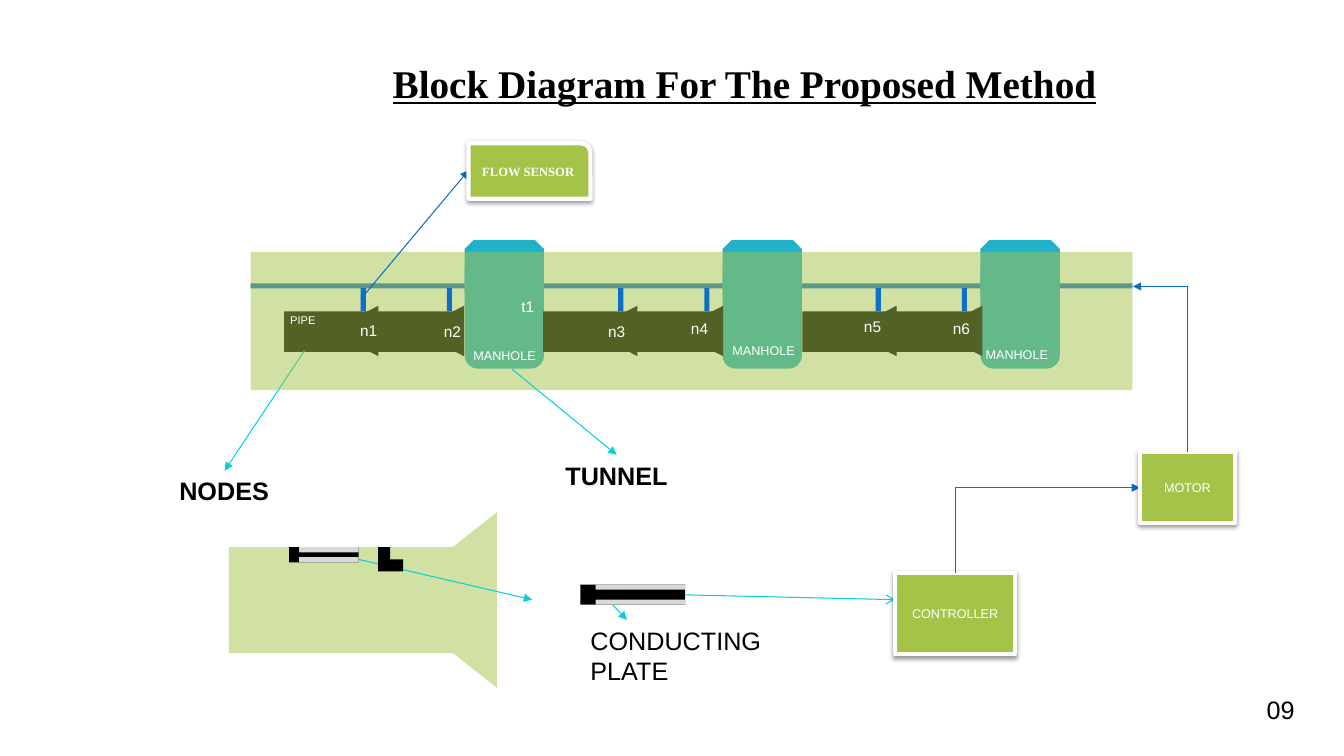
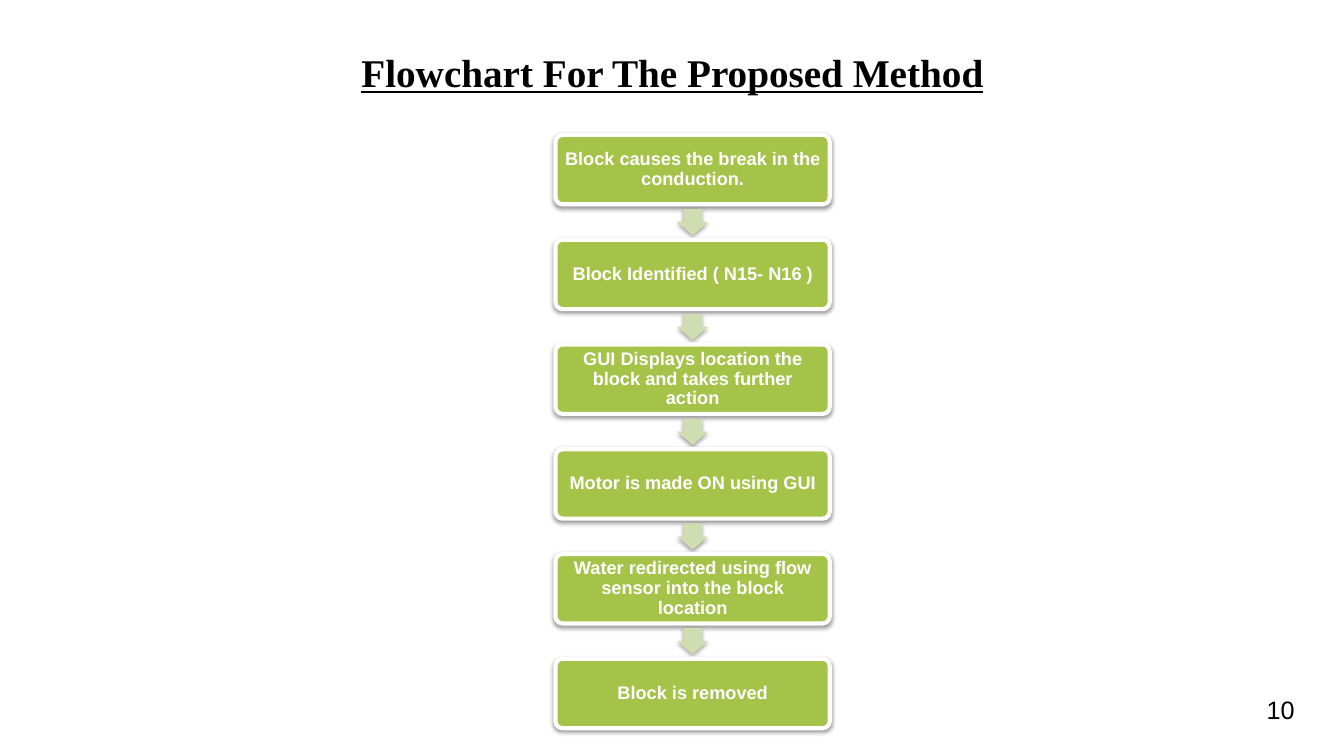
from lxml.etree import SubElement
from pptx import Presentation
from pptx.dml.color import RGBColor as Rgb
from pptx.enum.shapes import MSO_CONNECTOR as Link, MSO_SHAPE as Kind
from pptx.enum.text import MSO_ANCHOR as Anchor, PP_ALIGN as Align
from pptx.oxml.ns import qn
from pptx.util import Cm, Pt

HUES = {
    "ink": "000000", "white": "FFFFFF", "lime": "A5C249", "pale": "CFDDB1",
    "teal": "21B2C9", "blue": "0F6FC6", "wire": "0A6DC6", "cyan": "06D0D9",
    "grey": "D9D9D9",
}
SERIF = "Times New Roman"
STEPS = [
    "Block causes the break in the conduction.",
    "Block Identified ( N15- N16 )",
    "GUI Displays location the block and takes further action",
    "Motor is made ON using GUI",
    "Water redirected using flow sensor into the block location",
    "Block is removed",
]
NODES = [
    ("n1", 2.49, 1.6), ("n2", 4.6, 1.63), ("n3", 8.74, 1.65),
    ("n4", 10.83, 1.57), ("n5", 15.19, 1.52), ("n6", 17.43, 1.57),
    ("t1", 6.5, 1.02),
]
HOLES = [(5.36, 2.29), (11.89, 2.16), (18.27, 2.26)]


def hue(name):
    """Return the colour of that name."""
    return Rgb.from_string(HUES[name])


def write(shape, words, size=18, font="Arial", color="ink", bold=False,
          under=False, align=Align.LEFT, anchor=Anchor.TOP,
          pad=(0.25, 0.13, 0.25, 0.13), wrap=True, space=None):
    """Put formatted text into a shape."""
    frame = shape.text_frame
    frame.word_wrap, frame.vertical_anchor = wrap, anchor
    (frame.margin_left, frame.margin_top,
     frame.margin_right, frame.margin_bottom) = map(Cm, pad)
    para = frame.paragraphs[0]
    para.alignment, para.line_spacing = align, space
    run = para.add_run()
    run.text = words
    face = run.font
    face.name, face.size, face.bold, face.underline = font, Pt(size), bold, under
    face.color.rgb = hue(color)


def label(slide, words, box, **form):
    """Add a text box."""
    write(slide.shapes.add_textbox(*map(Cm, box)), words, **form)


def block(slide, kind, box, color, turn=0, alpha=None, edge=None, shade=False):
    """Add a filled preset shape."""
    shape = slide.shapes.add_shape(kind, *map(Cm, box))
    shape.rotation = turn
    shape.fill.solid()
    shape.fill.fore_color.rgb = hue(color)
    if edge:
        shape.line.color.rgb = hue(edge)
        shape.line.width = Pt(3)
    else:
        shape.line.fill.background()
    shape.shadow.inherit = False
    props = shape._element.spPr
    if alpha:
        tint = props.find(qn("a:solidFill"))[0]
        SubElement(tint, qn("a:alpha"), val=str(alpha * 1000))
    if shade:
        cast = SubElement(props.find(qn("a:effectLst")), qn("a:outerShdw"),
                          blurRad="40000", dist="20000", dir="5400000",
                          rotWithShape="0")
        tint = SubElement(cast, qn("a:srgbClr"), val=HUES["ink"])
        SubElement(tint, qn("a:alpha"), val="38000")
    return shape


def card(slide, kind, box, words, **form):
    """Add a white-edged block with centred text."""
    shape = block(slide, kind, box, "lime", edge="white", shade=True)
    write(shape, words, color="white", align=Align.CENTER,
          anchor=Anchor.MIDDLE, **form)
    return shape


def arrow(slide, start, end, color="cyan", head="triangle", kind=Link.STRAIGHT):
    """Add a thin connector with an arrowhead."""
    line = slide.shapes.add_connector(kind, *map(Cm, (*start, *end)))
    line.line.color.rgb = hue(color)
    line.line.width = Pt(0.75)
    props = line._element.spPr
    SubElement(props.find(qn("a:ln")), qn("a:tailEnd"), type=head)
    SubElement(props, qn("a:effectLst"))
    return props


def elbow(slide, start, end):
    """Add a connector that goes up and then sideways."""
    (left, low), (right, high) = start, end
    mid, level = (left + right) / 2, (low + high) / 2
    rise, run = low - high, right - left
    props = arrow(slide, (mid - rise / 2, level - run / 2),
                  (mid + rise / 2, level + run / 2), "wire", kind=Link.ELBOW)
    props.find(qn("a:xfrm")).set("rot", str(270 * 60000))
    props.find(qn("a:prstGeom")).set("prst", "bentConnector2")


def tunnel(slide, x, y, w, h):
    """Draw the pipe, manholes and nodes inside the tunnel."""
    block(slide, Kind.RECTANGLE, (x, y + 0.79, w, 0.13), "blue")
    for i in range(3):
        hole = x + 5.39 + 6.5 * i
        block(slide, Kind.ROUNDED_RECTANGLE, (hole, y + 0.1, 2, 2.84), "teal")
        block(slide, Kind.SNIP_2_SAME_RECTANGLE, (hole, y - 0.3, 2, 1.35), "teal")
        for j in range(2):
            pipe = x + 0.84 + 6.53 * i + 2.16 * j
            block(slide, Kind.RECTANGLE, (pipe, y + 1.5, 2.16, 1.02), "ink")
            block(slide, Kind.ISOSCELES_TRIANGLE,
                  (pipe + 1.12, y + 1.37, 1.27, 1.24), "ink", 270)
    arrow(slide, (x + 1.35, y + 2.49), (x - 0.66, y + 5.51))
    block(slide, Kind.RECTANGLE, (x, y, w, h), "lime", alpha=50)
    for i in range(3):
        for j in range(2):
            tick = x + 2.77 + 6.49 * i + 2.17 * j
            block(slide, Kind.RECTANGLE, (tick, y + 0.91, 0.13, 0.58), "blue")
    label(slide, "PIPE", (x + 0.74, y + 1.42, 1.25, 0.61), size=8, color="white")
    for dx, dy in HOLES:
        label(slide, "MANHOLE", (x + dx, y + dy, 2.46, 0.66), size=9,
              color="white")
    for name, dx, dy in NODES:
        label(slide, name, (x + dx, y + dy, 0.96, 0.72), size=11,
              color="white", align=Align.CENTER, wrap=False)
    arrow(slide, (x + 6.58, y + 2.95), (x + 9.22, y + 5.11))
    label(slide, "NODES", (x - 2.05, y + 5.51, 2.79, 1.02), bold=True, wrap=False)
    label(slide, "TUNNEL", (x + 7.68, y + 5.11, 3.12, 1.02), bold=True, wrap=False)


def probe(slide, x, y, w, h, cap):
    """Draw a black plate between two grey strips."""
    block(slide, Kind.RECTANGLE, (x, y, w, h), "ink")
    for top in (y, y + h - 0.13):
        block(slide, Kind.RECTANGLE, (x + cap, top, w - cap, 0.13), "grey")


def section(slide, x, y, w, h):
    """Draw the flared pipe end with its probe, and the enlarged probe."""
    block(slide, Kind.RECTANGLE, (x, y, w, h), "lime", alpha=50)
    block(slide, Kind.FLOWCHART_MANUAL_OPERATION,
          (x + 3.98, y + 0.77, 4.42, 1.12), "lime", 90, alpha=50)
    arrow(slide, (x + 2.51, y + 0.13), (x + 7.64, y + 1.32))
    probe(slide, x + 1.52, y, 1.75, 0.38, 0.25)
    angle = block(slide, Kind.RECTANGLE, (x + 3.76, y, 0.63, 0.61), "ink")
    angle._element.spPr.find(qn("a:prstGeom")).set("prst", "corner")
    probe(slide, x + 8.86, y + 0.94, 2.64, 0.51, 0.38)
    arrow(slide, (x + 9.67, y + 1.45), (x + 10.03, y + 1.83))
    label(slide, "CONDUCTING PLATE", (x + 8.86, y + 1.83, 5.61, 1.6))


def control(slide, x, y, w, h):
    """Draw the controller and the motor it drives."""
    arrow(slide, (x - 5.29, y + 0.56), (x, y + 0.68), head="arrow")
    card(slide, Kind.RECTANGLE, (x, y, w, h), "CONTROLLER", size=9)
    elbow(slide, (x + w / 2, y), (x + 6.17, y - 2.14))
    card(slide, Kind.RECTANGLE, (x + 6.17, y - 3.05, 2.39, 1.8), "MOTOR", size=9)
    elbow(slide, (x + 7.36, y - 3.05), (x + 5.99, y - 7.21))


def meter(slide, x, y, w, h):
    """Draw the flow sensor and its lead."""
    arrow(slide, (x - 2.72, y + 3.93), (x, y + 0.68), "wire")
    card(slide, Kind.ROUND_1_RECTANGLE, (x, y, w, h), "FLOW SENSOR", size=9,
         font=SERIF, bold=True, wrap=False)


def chain(slide, x, y, w, h, pitch=2.64):
    """Draw the steps of the flowchart with arrows between them."""
    for i, words in enumerate(STEPS):
        top = y + i * pitch
        if i:
            tip = block(slide, Kind.DOWN_ARROW,
                        (x + w / 2 - 0.39, top - 0.77, 0.78, 0.66), "pale",
                        shade=True)
            tip.adjustments[0], tip.adjustments[1] = 0.6, 0.5
        step = card(slide, Kind.ROUNDED_RECTANGLE, (x, top, w, h), words,
                    size=13, bold=True, pad=(0.18,) * 4, space=0.9)
        step.adjustments[0] = 0.1


def page(deck, title, box, number):
    """Add a slide with its title and number."""
    slide = deck.slides.add_slide(deck.slide_layouts[6])
    label(slide, title, box, size=28, font=SERIF, bold=True, under=True,
          align=Align.CENTER, anchor=Anchor.BOTTOM, pad=(0, 0.13, 0, 0))
    label(slide, number, (31.67, 17.37, 1.22, 1.02), wrap=False)
    return slide


def main():
    """Build and save the deck."""
    deck = Presentation()
    deck.slide_width, deck.slide_height = Cm(33.87), Cm(19.05)
    plan = page(deck, "Block Diagram For The Proposed Method",
                (5.49, 0.99, 26.54, 1.7), "09")
    tunnel(plan, 6.32, 6.35, 22.22, 3.48)
    section(plan, 5.77, 13.79, 5.64, 2.67)
    control(plan, 22.56, 14.43, 3.02, 2.06)
    meter(plan, 11.81, 3.61, 3.07, 1.4)
    flow = page(deck, "Flowchart For The Proposed Method",
                (7.37, 0.66, 19.15, 1.75), "10")
    chain(flow, 14, 3.4, 6.91, 1.75)
    deck.save("out.pptx")


if __name__ == "__main__":
    main()
